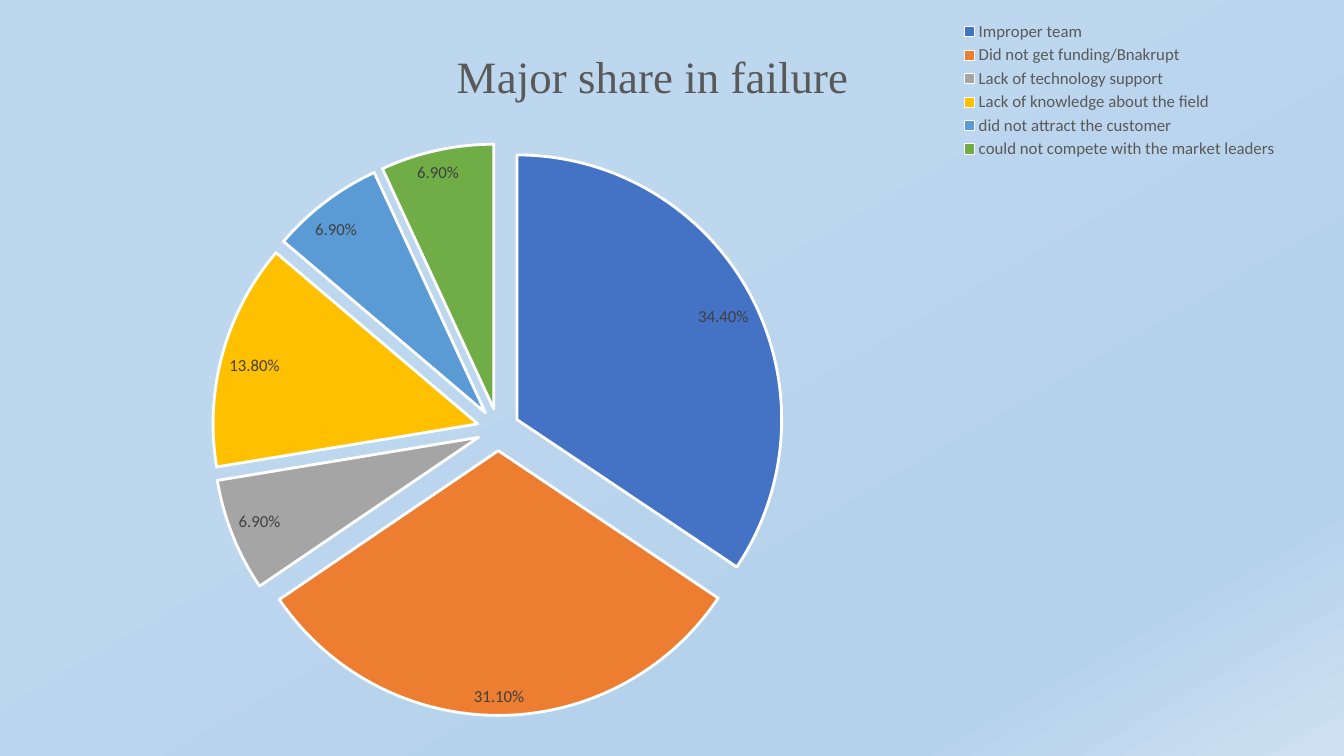
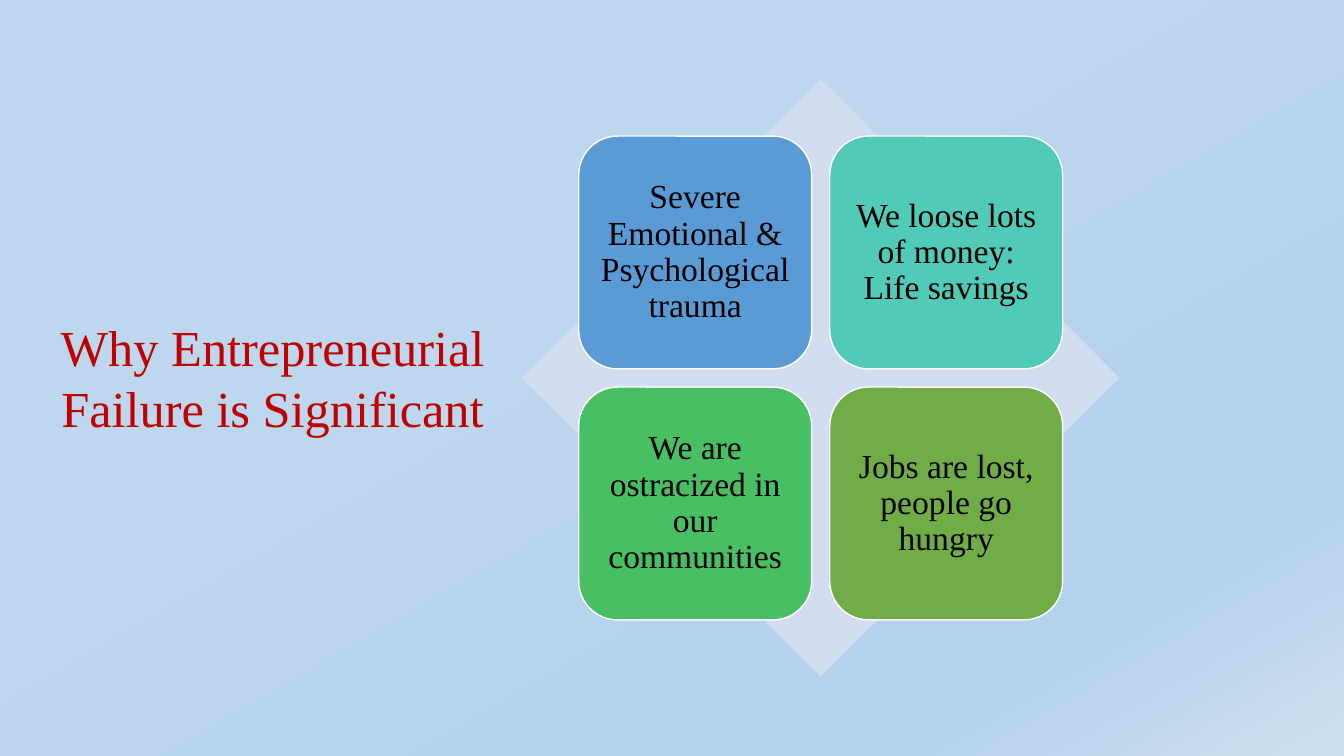
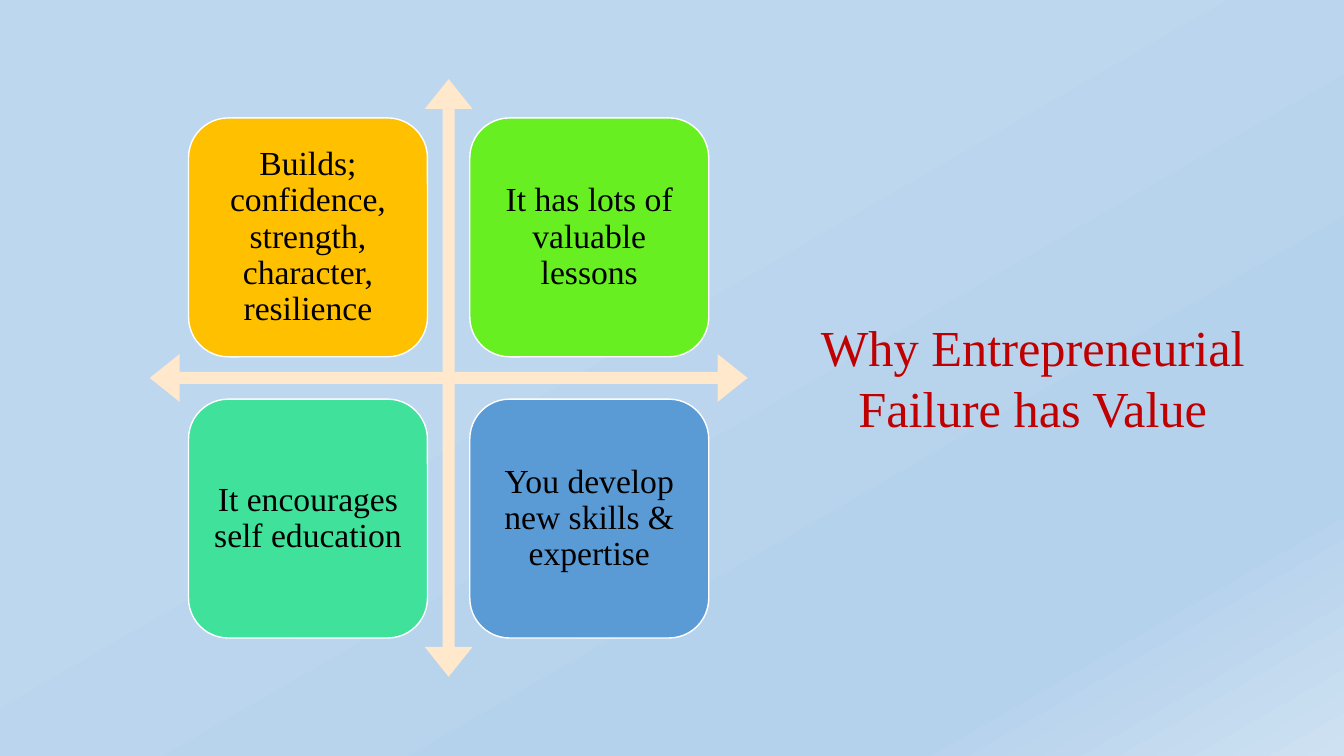
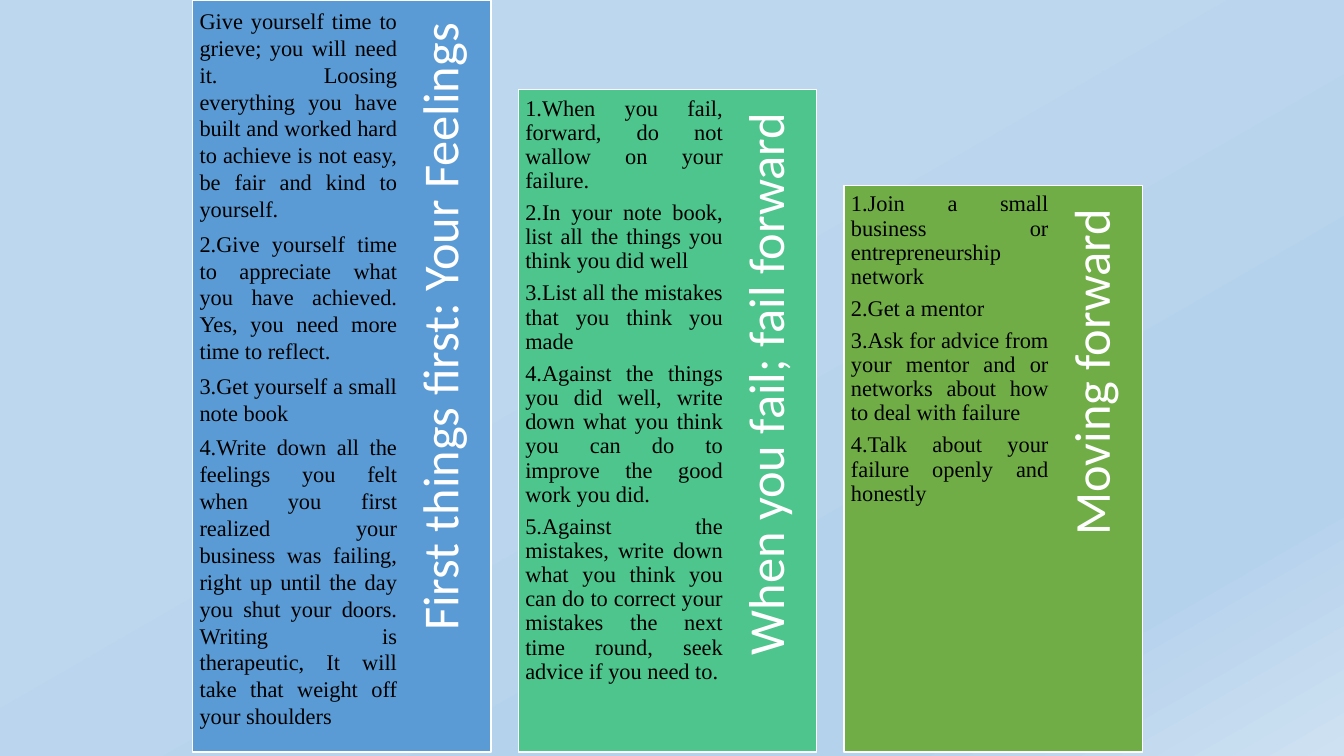
from pptx import Presentation
from pptx.chart.data import CategoryChartData
from pptx.dml.color import RGBColor
from pptx.enum.chart import XL_CHART_TYPE, XL_LABEL_POSITION as LabelPosition, XL_LEGEND_POSITION as LegendPosition
from pptx.enum.shapes import MSO_SHAPE as Shape
from pptx.enum.text import MSO_ANCHOR as Anchor, MSO_AUTO_SIZE as AutoSize, PP_ALIGN as Align
from pptx.oxml import parse_xml
from pptx.oxml.ns import nsdecls, qn
from pptx.util import Inches, Pt

BLACK = RGBColor(0x00, 0x00, 0x00)
WHITE = RGBColor(0xFF, 0xFF, 0xFF)
RED = RGBColor(0xC0, 0x00, 0x00)
DARK_GREY = RGBColor(0x40, 0x40, 0x40)
MID_GREY = RGBColor(0x59, 0x59, 0x59)
GREY = RGBColor(0xA5, 0xA5, 0xA5)
NAVY = RGBColor(0x44, 0x72, 0xC4)
BLUE = RGBColor(0x5B, 0x9B, 0xD5)
PALE_BLUE = RGBColor(0xD2, 0xDE, 0xEF)
ORANGE = RGBColor(0xED, 0x7D, 0x31)
GOLD = RGBColor(0xFF, 0xC0, 0x00)
CREAM = RGBColor(0xFF, 0xE8, 0xCC)
GREEN = RGBColor(0x70, 0xAD, 0x47)
TEAL = RGBColor(0x52, 0xCA, 0xB8)
EMERALD = RGBColor(0x49, 0xBF, 0x64)
LIME = RGBColor(0x67, 0xEF, 0x21)
MINT = RGBColor(0x3F, 0xE1, 0x9B)
SEA_GREEN = RGBColor(0x4D, 0xC5, 0x8D)
BACKDROP = (
    (37, RGBColor(0xBD, 0xD7, 0xEE)),
    (74, RGBColor(0xB5, 0xD2, 0xEC)),
    (83, RGBColor(0xB5, 0xD2, 0xEC)),
    (100, RGBColor(0xCE, 0xE1, 0xF2)),
)
SERIF = "Times New Roman"
SANS = "Calibri"

SHARES = (
    ("Improper team", 0.344, NAVY),
    ("Did not get funding/Bnakrupt", 0.311, ORANGE),
    ("Lack of technology support", 0.069, GREY),
    ("Lack of knowledge about the field", 0.138, GOLD),
    ("did not attract the customer", 0.069, BLUE),
    ("could not compete with the market leaders", 0.069, GREEN),
)
LOSSES = (
    ("Severe Emotional & Psychological trauma", BLUE),
    ("We loose lots of money: Life savings", TEAL),
    ("We are ostracized in our communities", EMERALD),
    ("Jobs are lost, people go hungry", GREEN),
)
GAINS = (
    ("Builds; confidence, strength, character, resilience", GOLD),
    ("It has lots of valuable lessons", LIME),
    ("It encourages self education", MINT),
    ("You develop new skills & expertise", BLUE),
)
STEPS = (
    ("First things first: Your Feelings", 0, BLUE, 1.0, (
        "Give yourself time to grieve; you will need it. Loosing everything you have built and worked hard "
        "to achieve is not easy, be fair and kind to yourself.",
        "2.Give yourself time to appreciate what you have achieved. Yes, you need more time to reflect.",
        "3.Get yourself a small note book",
        "4.Write down all the feelings you felt when you first realized your business was failing, right up "
        "until the day you shut your doors. Writing is therapeutic, It will take that weight off your shoulders",
    )),
    ("When you fail; fail forward", 0.89, SEA_GREEN, 0.9, (
        "1.When you fail, forward, do not wallow on your failure.",
        "2.In your note book, list all the things you think you did well",
        "3.List all the mistakes that you think you made",
        "4.Against the things you did well, write down what you think you can do to improve the good work you did.",
        "5.Against the mistakes, write down what you think you can do to correct your mistakes the next time "
        "round, seek advice if you need to.",
    )),
    ("Moving forward", 1.84, GREEN, 0.9, (
        "1.Join a small business or entrepreneurship network",
        "2.Get a mentor",
        "3.Ask for advice from your mentor and or networks about how to deal with failure",
        "4.Talk about your failure openly and honestly",
    )),
)


class Slides:
    def __init__(self):
        self.deck = Presentation()
        self.deck.slide_width = Inches(13.33)
        self.deck.slide_height = Inches(7.5)
        self.page = None
        self.paint_backdrop()

    def paint_backdrop(self):
        fill = self.deck.slide_master.background.fill
        fill.gradient()
        gradient = self.deck.slide_master.element.find(".//" + qn("p:bgPr")).find(qn("a:gradFill"))
        stops = "".join(
            f'<a:gs pos="{place * 1000}"><a:srgbClr val="{color}"/></a:gs>' for place, color in BACKDROP
        )
        for child in list(gradient):
            gradient.remove(child)
        gradient.append(parse_xml(f'<a:gsLst {nsdecls("a")}>{stops}</a:gsLst>'))
        gradient.append(parse_xml(f'<a:lin {nsdecls("a")} ang="3600000" scaled="0"/>'))

    def new_page(self):
        self.page = self.deck.slides.add_slide(self.deck.slide_layouts[6])

    def style_font(self, font, size, color, name=SERIF):
        font.size, font.name, font.bold = Pt(size), name, False
        font.color.rgb = color

    def set_text(self, box, lines, size, color, align, name=SERIF, spacing=1.0,
                 anchor=Anchor.TOP, insets=(0.1, 0.05, 0.1, 0.05)):
        frame = box.text_frame
        frame.text = "\n".join(lines)
        frame.word_wrap = True
        frame.vertical_anchor = anchor
        frame.margin_left, frame.margin_top, frame.margin_right, frame.margin_bottom = map(Inches, insets)
        for para in frame.paragraphs:
            para.alignment = align
            para.line_spacing = spacing
            if len(lines) > 1:
                para.space_after = Pt(size * 0.35)
            for span in para.runs:
                self.style_font(span.font, size, color, name)

    def text_box(self, left, top, width, height):
        return self.page.shapes.add_textbox(Inches(left), Inches(top), Inches(width), Inches(height))

    def shape(self, kind, left, top, width, height, color, outlined=True):
        box = self.page.shapes.add_shape(kind, Inches(left), Inches(top), Inches(width), Inches(height))
        box.shadow.inherit = False
        box.fill.solid()
        box.fill.fore_color.rgb = color
        if outlined:
            box.line.color.rgb = WHITE
            box.line.width = Pt(1)
        else:
            box.line.fill.background()
        return box

    def heading(self, text, left, width):
        box = self.text_box(left, 3.09, width, 1.31)
        self.set_text(box, [text], 36, RED, Align.CENTER)
        box.text_frame.auto_size = AutoSize.SHAPE_TO_FIT_TEXT

    def matrix(self, kind, color, center, size, gap, cards, adjustments=()):
        middle, extent = 3.75, 5.93
        base = self.shape(kind, center - extent / 2, middle - extent / 2, extent, extent, color, False)
        for index, value in enumerate(adjustments):
            base.adjustments[index] = value
        for index, (text, card_color) in enumerate(cards):
            row, column = divmod(index, 2)
            left = center - gap / 2 - size + column * (size + gap)
            top = middle - gap / 2 - size + row * (size + gap)
            card = self.shape(Shape.ROUNDED_RECTANGLE, left, top, size, size, card_color)
            self.set_text(card, [text], 24, BLACK, Align.CENTER, spacing=0.9,
                          anchor=Anchor.MIDDLE, insets=(0.1,) * 4)

    def step_column(self, left, title, top, color, spacing, lines):
        height = 7.46 - top
        panel = self.shape(Shape.RECTANGLE, left, top, 2.96, height, color)
        self.set_text(panel, lines, 16, BLACK, Align.JUSTIFY, spacing=spacing, insets=(0.07, 0.07, 0.93, 0.07))
        length, thickness = height * 0.9, 0.77
        label = self.text_box(left + 2.5 - length / 2, top + (length - thickness) / 2, length, thickness)
        label.rotation = 270
        self.set_text(label, [title], 36, WHITE, Align.RIGHT, SANS, 0.9, Anchor.MIDDLE, (0.15, 0, 0.23, 0.05))

    def place(self, element, inner=False, **bounds):
        for old in element.findall(qn("c:layout")):
            element.remove(old)
        target = '<c:layoutTarget val="inner"/>' if inner else ""
        modes = "".join(f'<c:{key}Mode val="edge"/>' for key in bounds if key in "xy")
        values = "".join(f'<c:{key} val="{value}"/>' for key, value in bounds.items())
        layout = parse_xml(
            f'<c:layout {nsdecls("c")}><c:manualLayout>{target}{modes}{values}</c:manualLayout></c:layout>'
        )
        overlay = element.find(qn("c:overlay"))
        if overlay is None:
            element.insert(0, layout)
        else:
            overlay.addprevious(layout)

    def pie(self, title, shares):
        data = CategoryChartData(number_format="0.00%")
        data.categories = [name for name, _, _ in shares]
        data.add_series("Series 1", [value for _, value, _ in shares])
        chart = self.page.shapes.add_chart(
            XL_CHART_TYPE.PIE, Inches(0.38), Inches(0.11), Inches(12.33), Inches(7.16), data
        ).chart
        self.style_font(chart.font, 10, BLACK, SANS)

        chart.has_title = True
        chart.chart_title.text_frame.text = title
        self.style_font(chart.chart_title.text_frame.paragraphs[0].runs[0].font, 32, MID_GREY)
        self.place(chart.chart_title._element, x=0.33, y=0.04)

        chart.has_legend = True
        chart.legend.position = LegendPosition.CORNER
        chart.legend.include_in_layout = False
        self.style_font(chart.legend.font, 12, MID_GREY, SANS)
        self.place(chart.legend._element, x=0.74, y=0.01, w=0.26, h=0.2)

        plot = chart.plots[0]
        plot.vary_by_categories = True
        series = plot.series[0]
        for index, (_, _, color) in enumerate(shares):
            look = series.points[index].format
            look.fill.solid()
            look.fill.fore_color.rgb = color
            look.line.color.rgb = WHITE
            look.line.width = Pt(2)
        series._element.find(qn("c:dPt")).addprevious(parse_xml(f'<c:explosion {nsdecls("c")} val="8"/>'))
        labels = series.data_labels
        labels.show_value = True
        labels.number_format, labels.number_format_is_linked = "0.00%", False
        labels.position = LabelPosition.BEST_FIT
        self.style_font(labels.font, 12, DARK_GREY, SANS)
        plot_area = chart._chartSpace.find(".//" + qn("c:plotArea"))
        self.place(plot_area, inner=True, x=0.14, y=0.18, w=0.46, h=0.8)


def main():
    slides = Slides()

    slides.new_page()
    slides.pie("Major share in failure", SHARES)

    slides.new_page()
    slides.heading("Why Entrepreneurial Failure is Significant", 0.44, 4.53)
    slides.matrix(Shape.DIAMOND, PALE_BLUE, 8.14, 2.31, 0.18, LOSSES)

    slides.new_page()
    slides.heading("Why Entrepreneurial Failure has Value", 7.93, 4.63)
    slides.matrix(Shape.QUAD_ARROW, CREAM, 4.45, 2.37, 0.42, GAINS, (0.02, 0.04, 0.05))

    slides.new_page()
    for index, step in enumerate(STEPS):
        slides.step_column(1.91 + index * 3.23, *step)

    slides.deck.save("out.pptx")


if __name__ == "__main__":
    main()
